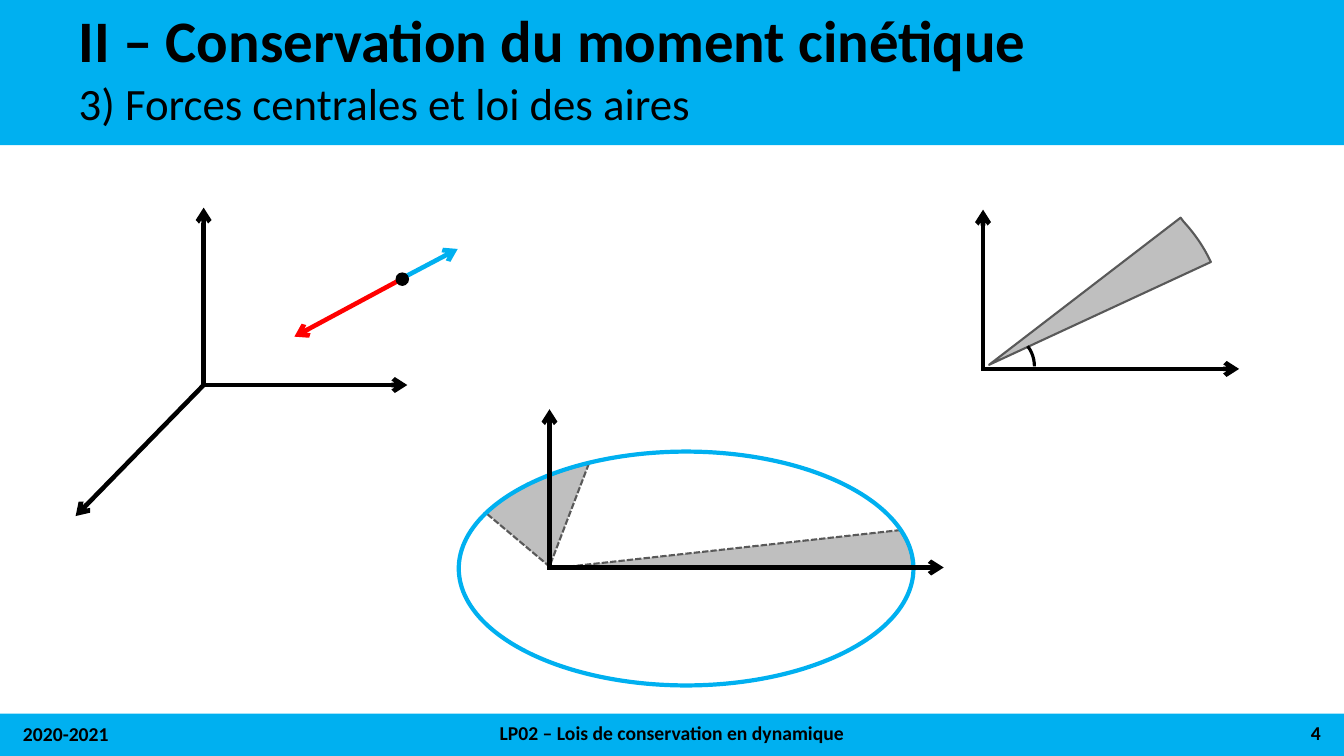
import lxml.etree
import pptx
import pptx.dml.color
import pptx.enum.dml
import pptx.enum.shapes
import pptx.enum.text
import pptx.oxml.ns
import pptx.util
from dataclasses import dataclass

Inches, Pt = pptx.util.Inches, pptx.util.Pt
SHAPE = pptx.enum.shapes.MSO_SHAPE
ALIGN = pptx.enum.text.PP_ALIGN
ANCHOR = pptx.enum.text.MSO_ANCHOR
qn = pptx.oxml.ns.qn


@dataclass(frozen=True)
class Theme:
    font: str = "Calibri"
    black: str = "000000"
    blue: str = "00B0F0"
    red: str = "FF0000"
    area: str = "BFBFBF"
    edge: str = "595959"
    title: int = 42
    subtitle: int = 32
    footer: int = 14
    axis: float = 3.25


def curve(p0, p1, p2, p3, steps=16):
    """Points of a cubic Bézier arc, both ends included."""
    points = []
    for i in range(steps + 1):
        t = i / steps
        weights = ((1 - t) ** 3, 3 * t * (1 - t) ** 2, 3 * t * t * (1 - t), t ** 3)
        points.append(tuple(sum(w * p[axis] for w, p in zip(weights, (p0, p1, p2, p3)))
                            for axis in (0, 1)))
    return points


class Deck:
    def __init__(self, theme):
        self.theme = theme
        self.prs = pptx.Presentation()
        self.prs.slide_width, self.prs.slide_height = Inches(13.33), Inches(7.5)
        self.s = self.prs.slides.add_slide(self.prs.slide_layouts[1])

    def color(self, code):
        return pptx.dml.color.RGBColor.from_string(code)

    def place(self, sp, left, top, width, height):
        sp.left, sp.top = Inches(left), Inches(top)
        sp.width, sp.height = Inches(width), Inches(height)

    def set_text(self, sp, text, size, bold=False, align=ALIGN.LEFT,
                 anchor=ANCHOR.MIDDLE, spacing=1.0):
        tf = sp.text_frame
        tf.word_wrap = True
        tf.auto_size = pptx.enum.text.MSO_AUTO_SIZE.NONE
        tf.vertical_anchor = anchor
        p = tf.paragraphs[0]
        p.alignment, p.line_spacing, p.space_before = align, spacing, Pt(0)
        r = p.add_run()
        r.text = text
        r.font.name, r.font.size, r.font.bold = self.theme.font, Pt(size), bold
        r.font.color.rgb = self.color(self.theme.black)
        return p

    def style(self, sp, fill=None, line=None, width=1, dashed=False):
        sp.shadow.inherit = False
        if fill:
            sp.fill.solid()
            sp.fill.fore_color.rgb = self.color(fill)
        else:
            sp.fill.background()
        if line:
            sp.line.color.rgb = self.color(line)
            sp.line.width = Pt(width)
            if dashed:
                sp.line.dash_style = pptx.enum.dml.MSO_LINE.SQUARE_DOT
        else:
            sp.line.fill.background()

    def title(self, text, box):
        sp = self.s.shapes.title
        self.place(sp, *box)
        self.set_text(sp, text, self.theme.title, bold=True, spacing=0.9)

    def subtitle(self, text, box):
        sp = self.s.placeholders[1]
        self.place(sp, *box)
        p = self.set_text(sp, text, self.theme.subtitle, anchor=ANCHOR.TOP, spacing=0.8)
        pPr = p._p.get_or_add_pPr()
        pPr.set("marL", "0")
        pPr.set("indent", "0")
        lxml.etree.SubElement(pPr, qn("a:buNone"))

    def label(self, text, box, align):
        sp = self.s.shapes.add_textbox(*map(Inches, box))
        self.set_text(sp, text, self.theme.footer, bold=True, align=align)

    def shape(self, kind, box, **look):
        sp = self.s.shapes.add_shape(kind, *map(Inches, box))
        self.style(sp, **look)
        return sp

    def band(self, box):
        sp = self.shape(SHAPE.RECTANGLE, box, fill=self.theme.blue)
        sp.element.getparent().insert(2, sp.element)  # behind the placeholders

    def arrow(self, start, tip, color=None):
        sp = self.s.shapes.add_connector(pptx.enum.shapes.MSO_CONNECTOR.STRAIGHT,
                                         *map(Inches, start + tip))
        sp.line.color.rgb = self.color(color or self.theme.black)
        sp.line.width = Pt(self.theme.axis)
        ln = sp.element.spPr.find(qn("a:ln"))
        lxml.etree.SubElement(ln, qn("a:tailEnd"), type="arrow")
        lxml.etree.SubElement(sp.element.spPr, qn("a:effectLst"))

    def sector(self, points, dashed=False):
        points = [(Inches(x), Inches(y)) for x, y in points]
        builder = self.s.shapes.build_freeform(*points[0])
        builder.add_line_segments(points[1:], close=True)
        self.style(builder.convert_to_shape(), fill=self.theme.area,
                   line=self.theme.edge, width=1.5, dashed=dashed)


def main():
    theme = Theme()
    deck = Deck(theme)

    # Header and footer
    deck.band((0, -0.01, 13.33, 1.45))
    deck.band((0, 7.08, 13.33, 0.42))
    deck.title("II – Conservation du moment cinétique", (0.68, 0.11, 11.74, 0.65))
    deck.subtitle("3) Forces centrales et loi des aires", (0.68, 0.8, 11.74, 0.55))
    deck.label("2020-2021", (0.13, 7.08, 3, 0.4), ALIGN.LEFT)
    deck.label("LP02 – Lois de conservation en dynamique", (3.13, 7.07, 7.07, 0.4), ALIGN.CENTER)
    deck.label("4", (10.2, 7.07, 3, 0.4), ALIGN.RIGHT)

    # Elliptic orbit with two swept areas
    deck.sector([(5.47, 5.64), (8.92, 5.26)]
                + curve((8.95, 5.3), (9.02, 5.4), (9.05, 5.52), (9.05, 5.64)), dashed=True)
    deck.sector([(5.84, 4.6), (5.45, 5.62), (4.82, 5.09)]
                + curve((4.92, 5), (5.13, 4.84), (5.4, 4.72), (5.72, 4.63)), dashed=True)
    deck.shape(SHAPE.OVAL, (4.55, 4.48, 4.51, 2.32), line=theme.blue, width=3)
    deck.arrow((5.45, 5.63), (5.45, 4.06))
    deck.arrow((5.43, 5.63), (9.36, 5.63))

    # Central force in three dimensions
    deck.arrow((3.99, 2.76), (4.54, 2.47), theme.blue)
    deck.arrow((3.98, 2.77), (2.92, 3.34), theme.red)
    for tip in ((2.02, 2.06), (4.04, 3.82), (0.75, 5.12)):
        deck.arrow((2.02, 3.82), tip)
    deck.shape(SHAPE.OVAL, (3.93, 2.71, 0.12, 0.12), fill=theme.black, line=theme.black)

    # Elementary area in polar coordinates
    deck.arrow((9.75, 3.66), (9.75, 2.08))
    deck.arrow((9.73, 3.66), (12.29, 3.66))
    deck.sector([(9.81, 3.62), (11.71, 2.16)]
                + curve((11.74, 2.2), (11.85, 2.32), (11.94, 2.45), (12.01, 2.6)))
    angle = deck.shape(SHAPE.ARC, (9.83, 3.36, 0.43, 0.55), line=theme.black, width=2.25)
    angle.adjustments[0] = 306.37 * 0.6  # degrees to preset units
    angle.adjustments[1] = 0

    deck.prs.save("out.pptx")


if __name__ == "__main__":
    main()
